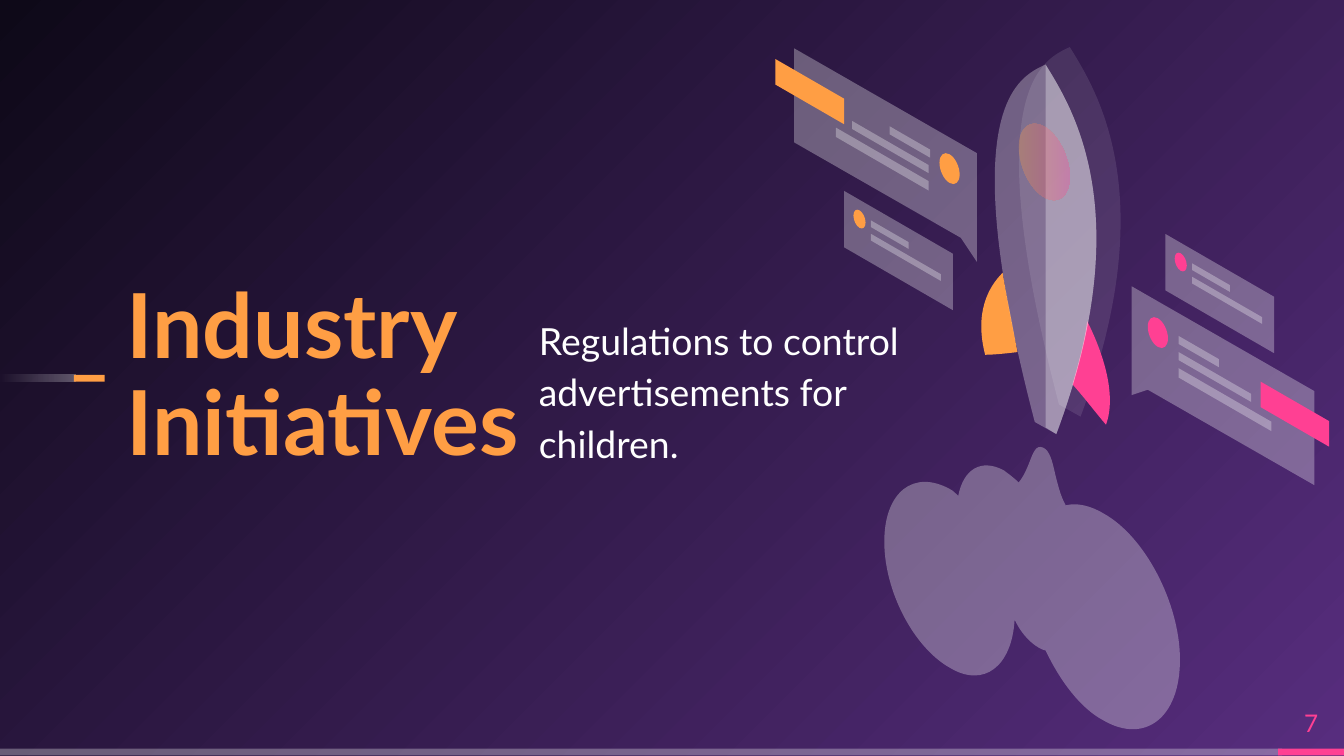
import math

from lxml import etree
from pptx import Presentation
from pptx import util as u
from pptx.dml.color import RGBColor
from pptx.enum import shapes, text
from pptx.oxml.ns import qn

WIDTH, HEIGHT = 10, 5.625
FONT = "Lato"
COLORS = {"white": "FFFFFF", "orange": "FF9E44", "pink": "FF4093",
          "violet": "572D7E", "night": "0E0918"}
ISO = math.tan(math.radians(30))  # every panel falls to the right at 30 degrees
ARC = 0.55  # handle length of a quarter circle

TITLE = "Industry Initiatives"
SUBTITLE = "Regulations to control advertisements for children."
PAGE = "7"

# A fill is a list of (colour, opacity in %): one entry is solid, two a gradient.
GLASS = [("white", 30)]
GHOST = [("white", 10)]
ORANGE = [("orange", 100)]
PINK = [("pink", 100)]
FADE = [("white", 30), ("white", 0)]
PORTHOLE = [("orange", 30), ("pink", 30)]

STRIPS = [  # left, top, width, height, fill, gradient angle
    (0, 5.57, 9.54, 0.05, GLASS, 0),
    (9.51, 5.57, 0.49, 0.05, PINK, 0),
    (0, 2.79, 0.56, 0.05, FADE, 180),
    (0.55, 2.79, 0.23, 0.05, ORANGE, 0),
]

# Outlines: a pair is a straight step, six numbers are a Bezier curve.
BODY = [(7.7, 3.14), (7.08, 0.77, 7.59, 0.57, 7.78, 0.48),
        (7.97, 0.79, 8.48, 1.57, 7.86, 3.23), (7.7, 3.14)]
BODY_SIDE = [(7.86, 3.23), (8.48, 1.57, 7.97, 0.79, 7.78, 0.48), (7.78, 3.18),
             (7.86, 3.23)]
RIGHT_FIN = [(7.98, 2.86), (8.07, 2.96, 8.16, 3.08, 8.23, 3.16),
             (8.31, 2.94, 8.21, 2.63, 8.09, 2.39),
             (8.07, 2.54, 8.03, 2.69, 7.98, 2.86)]
LEFT_FIN = [(7.46, 2.03), (7.35, 2.14, 7.25, 2.33, 7.33, 2.64),
            (7.39, 2.64, 7.49, 2.63, 7.57, 2.62),
            (7.53, 2.4, 7.49, 2.21, 7.46, 2.03)]
SMOKE = [(7.93, 3.76), (7.89, 3.69, 7.87, 3.6, 7.85, 3.52),
         (7.83, 3.43, 7.81, 3.35, 7.76, 3.33), (7.71, 3.31, 7.69, 3.36, 7.66, 3.44),
         (7.64, 3.49, 7.62, 3.54, 7.58, 3.59), (7.55, 3.56, 7.51, 3.53, 7.47, 3.5),
         (7.3, 3.41, 7.17, 3.49, 7.13, 3.69), (7.11, 3.67, 7.09, 3.65, 7.07, 3.64),
         (6.8, 3.49, 6.58, 3.66, 6.58, 4.03), (6.58, 4.4, 6.8, 4.82, 7.07, 4.97),
         (7.32, 5.12, 7.53, 4.96, 7.55, 4.61), (7.59, 4.7, 7.66, 4.78, 7.73, 4.82),
         (7.75, 4.83, 7.77, 4.84, 7.78, 4.84), (7.89, 5.07, 8.04, 5.27, 8.21, 5.36),
         (8.52, 5.54, 8.78, 5.34, 8.78, 4.91), (8.78, 4.49, 8.52, 3.99, 8.21, 3.82),
         (8.11, 3.76, 8.01, 3.74, 7.93, 3.76)]
RIGHT_BUBBLE = [(8.42, 2.13), (9.78, 2.91), (9.78, 3.61), (8.54, 2.9), (8.42, 2.94),
                (8.42, 2.13)]
LEFT_BUBBLE = [(7.27, 1.14), (5.91, 0.36), (5.91, 1.06), (7.15, 1.77), (7.27, 1.95),
               (7.27, 1.14)]

BARS = [  # left, top, width, height, fill
    (9.38, 2.84, 0.51, 0.19, PINK),
    (8.77, 2.5, 0.3, 0.06, GLASS),
    (8.77, 2.62, 0.54, 0.06, GLASS),
    (8.77, 2.74, 0.69, 0.07, GLASS),
    (5.77, 0.44, 0.51, 0.19, ORANGE),
    (6.62, 0.94, 0.3, 0.06, GLASS),
    (6.34, 0.9, 0.57, 0.06, GLASS),
    (6.22, 0.95, 0.69, 0.07, GLASS),
]
DOTS = [(8.54, 2.36, 0.15, 0.23, PINK), (6.99, 1.14, 0.15, 0.23, ORANGE)]
CARDS = [(6.28, 1.42, ORANGE), (8.67, 1.74, PINK)]


def paint(shape, fill, angle=0):
    shape.shadow.inherit = False
    shape.line.fill.background()
    if len(fill) == 1:
        shape.fill.solid()
        targets = [shape.fill.fore_color]
    else:
        shape.fill.gradient()
        shape.fill.gradient_angle = angle
        targets = [stop.color for stop in shape.fill.gradient_stops]
    for target, (name, _) in zip(targets, fill):
        target.rgb = RGBColor.from_string(COLORS[name])
    for node, (_, opacity) in zip(shape._element.spPr.iter(qn("a:srgbClr")), fill):
        if opacity < 100:
            etree.SubElement(node, qn("a:alpha"), val=str(opacity * 1000))


def pairs(step):
    return list(zip(step[::2], step[1::2]))


def trace(outline, samples=20):
    """List points along the outline, to measure its extent."""
    points = [outline[0]]
    for step in outline[1:]:
        if len(step) == 2:
            points.append(step)
            continue
        controls = [points[-1], *pairs(step)]
        for i in range(1, samples + 1):
            t = i / samples
            weights = [math.comb(3, k) * t**k * (1 - t)**(3 - k) for k in range(4)]
            points.append(tuple(sum(w * c[axis] for w, c in zip(weights, controls))
                                for axis in (0, 1)))
    return points


def draw(slide, outline, fill, dx=0, dy=0):
    """Size a freeform by its extent, then give it its lines and curves."""
    extent = [(u.Inches(x + dx), u.Inches(y + dy)) for x, y in trace(outline)]
    builder = slide.shapes.build_freeform(*extent[0])
    builder.add_line_segments(extent[1:])
    shape = builder.convert_to_shape()
    route = next(shape._element.iter(qn("a:path")))
    for old in list(route):
        route.remove(old)
    for i, step in enumerate(outline):
        tag = "a:moveTo" if i == 0 else "a:lnTo" if len(step) == 2 else "a:cubicBezTo"
        node = etree.SubElement(route, qn(tag))
        for x, y in pairs(step):
            etree.SubElement(node, qn("a:pt"), x=str(u.Inches(x + dx) - shape.left),
                             y=str(u.Inches(y + dy) - shape.top))
    etree.SubElement(route, qn("a:close"))
    paint(shape, fill)


def draw_bar(slide, x, y, w, h, fill):
    drop = w * ISO
    draw(slide, [(x, y), (x + w, y + drop), (x + w, y + drop + h), (x, y + h), (x, y)],
         fill)


def draw_disc(slide, x, y, w, h, fill):
    """Draw a sheared ellipse that fills the given box."""
    radius, shear = w / 2, w / 2 * ISO
    rise = math.sqrt((h / 2)**2 - shear**2)

    def place(a, b):
        return x + radius + radius * a, y + h / 2 + shear * a + rise * b

    outline = [place(1, 0)]
    for a, b in [(1, 0), (0, 1), (-1, 0), (0, -1)]:
        outline.append(place(a - ARC * b, b + ARC * a)
                       + place(ARC * a - b, ARC * b + a) + place(-b, a))
    draw(slide, outline, fill)


def draw_card(slide, x, y, accent):
    draw_bar(slide, x, y, 0.81, 0.42, GLASS)
    draw_bar(slide, x + 0.2, y + 0.22, 0.28, 0.05, GLASS)
    draw_bar(slide, x + 0.2, y + 0.32, 0.52, 0.05, GLASS)
    draw_disc(slide, x + 0.07, y + 0.14, 0.09, 0.14, accent)


def write(box, words, place, size, color, align=text.PP_ALIGN.LEFT,
          spacing=1.0, after=0, bold=False):
    box.left, box.top, box.width, box.height = map(u.Inches, place)
    frame = box.text_frame
    frame.text = words
    frame.word_wrap = True
    frame.auto_size = text.MSO_AUTO_SIZE.NONE
    frame.vertical_anchor = text.MSO_ANCHOR.MIDDLE
    frame.margin_left = frame.margin_right = frame.margin_top = frame.margin_bottom = 0
    paragraph = frame.paragraphs[0]
    paragraph.alignment = align
    paragraph.line_spacing = spacing
    paragraph.space_before, paragraph.space_after = u.Pt(0), u.Pt(after)
    font = paragraph.font
    font.name, font.size, font.bold = FONT, u.Pt(size), bold
    font.color.rgb = RGBColor.from_string(COLORS[color])


def set_background(slide):
    """Glow from the bottom right corner."""
    fill = slide.background.fill
    fill.gradient()
    for stop, name in zip(fill.gradient_stops, ("violet", "night")):
        stop.color.rgb = RGBColor.from_string(COLORS[name])
    linear = next(slide._element.iter(qn("a:lin")))
    glow = etree.Element(qn("a:path"), path="circle")
    etree.SubElement(glow, qn("a:fillToRect"), l="100000", t="100000")
    linear.getparent().replace(linear, glow)


def main():
    prs = Presentation()
    prs.slide_width, prs.slide_height = u.Inches(WIDTH), u.Inches(HEIGHT)
    slide = prs.slides.add_slide(prs.slide_layouts[0])
    set_background(slide)

    for *place, fill, angle in STRIPS:
        strip = slide.shapes.add_shape(shapes.MSO_SHAPE.RECTANGLE, *map(u.Inches, place))
        paint(strip, fill, angle)

    draw(slide, BODY, GHOST, 0.18, -0.13)
    for outline, fill in [(RIGHT_FIN, PINK), (LEFT_FIN, ORANGE), (BODY, GLASS),
                          (BODY_SIDE, GLASS)]:
        draw(slide, outline, fill)
    draw_disc(slide, 7.58, 0.92, 0.38, 0.57, PORTHOLE)
    for outline in (SMOKE, RIGHT_BUBBLE, LEFT_BUBBLE):
        draw(slide, outline, GLASS)
    for bar in BARS:
        draw_bar(slide, *bar)
    for dot in DOTS:
        draw_disc(slide, *dot)
    for card in CARDS:
        draw_card(slide, *card)

    write(slide.shapes.title, TITLE, (0.94, 1.98, 3.07, 1.66), 48, "orange",
          spacing=0.9, bold=True)
    write(slide.placeholders[1], SUBTITLE, (4.01, 2.06, 2.85, 1.66), 20, "white",
          spacing=1.15, after=8)
    write(slide.shapes.add_textbox(0, 0, 0, 0), PAGE, (9.51, 5.19, 0.49, 0.38), 13,
          "pink", align=text.PP_ALIGN.CENTER)
    prs.save("out.pptx")


if __name__ == "__main__":
    main()
